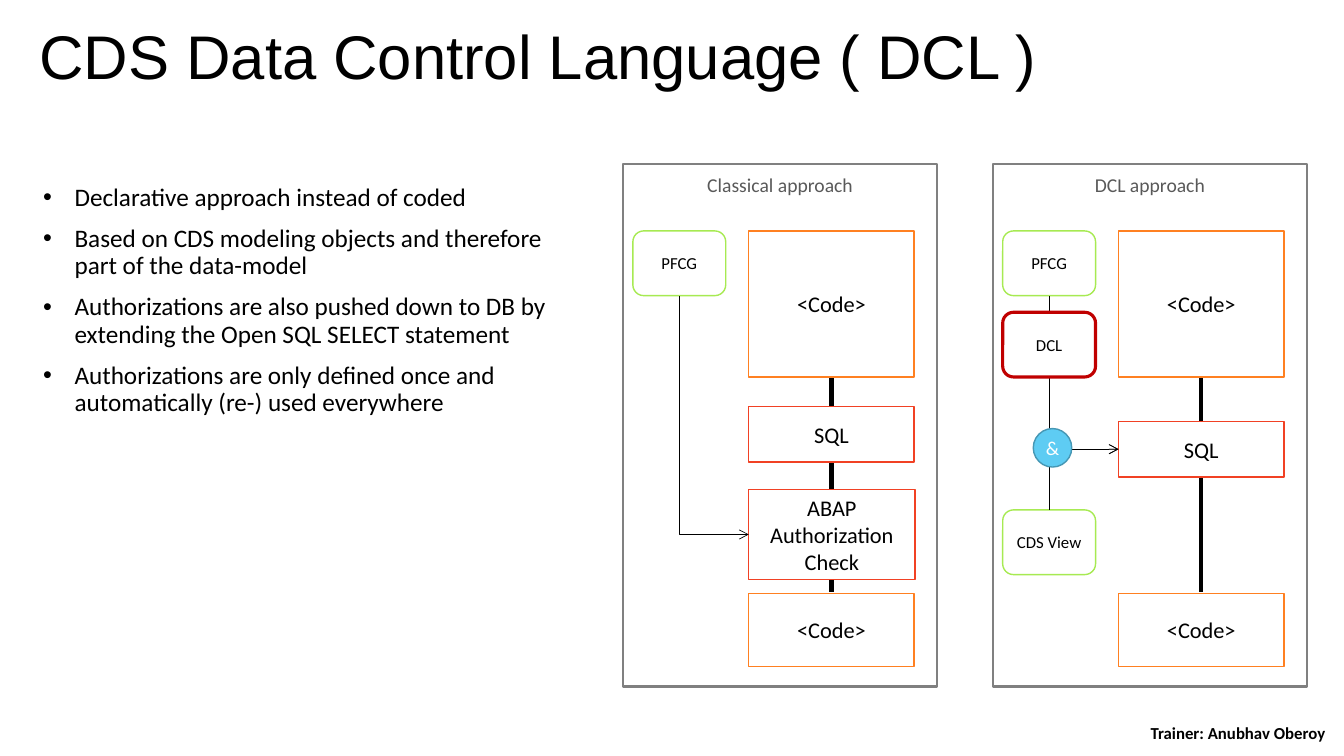
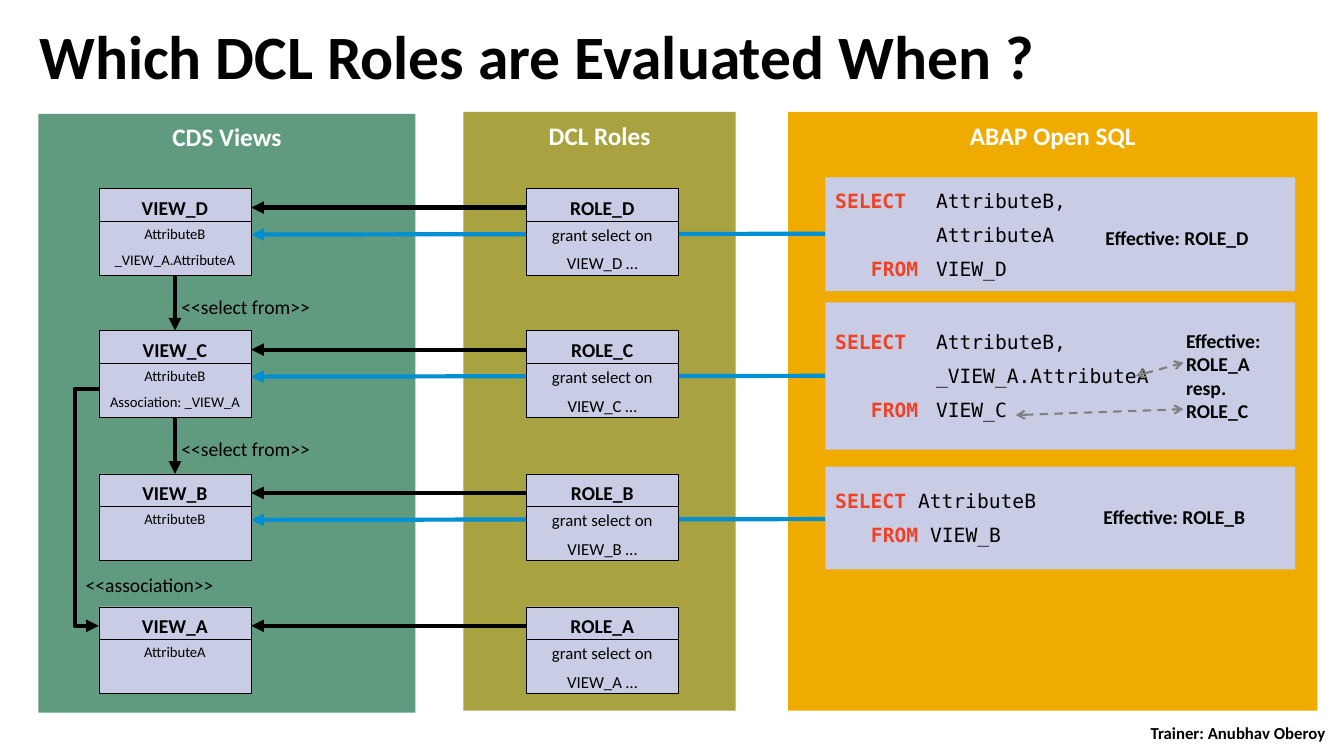
from pptx import Presentation
from pptx.dml.color import RGBColor
from pptx.enum.dml import MSO_LINE
from pptx.enum.shapes import MSO_CONNECTOR, MSO_SHAPE
from pptx.enum.text import MSO_ANCHOR, PP_ALIGN
from pptx.oxml import parse_xml
from pptx.oxml.ns import nsdecls
from pptx.util import Cm, Pt

RECT, ROUNDED, CIRCLE = MSO_SHAPE.RECTANGLE, MSO_SHAPE.ROUNDED_RECTANGLE, MSO_SHAPE.OVAL
STRAIGHT, ELBOW = MSO_CONNECTOR.STRAIGHT, MSO_CONNECTOR.ELBOW
TOP, MIDDLE = MSO_ANCHOR.TOP, MSO_ANCHOR.MIDDLE
LEFT, CENTER = PP_ALIGN.LEFT, PP_ALIGN.CENTER
DASH = MSO_LINE.DASH
LEFT_SITE, BOTTOM_SITE, TOP_SITE = 1, 2, 0

BLACK = RGBColor(0x00, 0x00, 0x00)
WHITE = RGBColor(0xFF, 0xFF, 0xFF)
GRAY = RGBColor(0x80, 0x80, 0x80)
DARK_GRAY = RGBColor(0x59, 0x59, 0x59)
LIME = RGBColor(0xA7, 0xEA, 0x52)
ORANGE = RGBColor(0xFF, 0x80, 0x21)
RED = RGBColor(0xF1, 0x41, 0x24)
DARK_RED = RGBColor(0xC0, 0x00, 0x00)
SKY = RGBColor(0x5E, 0xCC, 0xF3)
SKY_EDGE = RGBColor(0x46, 0x97, 0xB4)
BLUE = RGBColor(0x00, 0x8F, 0xD3)
GREEN = RGBColor(0x60, 0x9A, 0x7F)
OLIVE = RGBColor(0xA8, 0xA3, 0x40)
AMBER = RGBColor(0xF0, 0xAB, 0x00)
LAVENDER = RGBColor(0xC8, 0xCD, 0xE5)


def add_box(page, bounds, lines, size, kind=None, fill=None, edge=None, edge_width=1,
            color=BLACK, bold=False, font="Calibri", align=CENTER, anchor=MIDDLE,
            inset=(0.25, 0.2), before=0, spacing=None):
    lengths = [Cm(value) for value in bounds]
    if kind is None:
        box = page.shapes.add_textbox(*lengths)
    else:
        box = page.shapes.add_shape(kind, *lengths)
        box.shadow.inherit = False
        if fill is None:
            box.fill.background()
        else:
            box.fill.solid()
            box.fill.fore_color.rgb = fill
        if edge is None:
            box.line.fill.background()
        else:
            box.line.color.rgb = edge
            box.line.width = Pt(edge_width)
    frame = box.text_frame
    frame.word_wrap = True
    frame.vertical_anchor = anchor
    frame.margin_left = frame.margin_right = Cm(inset[0])
    frame.margin_top = frame.margin_bottom = Cm(inset[1])
    for index, text in enumerate(lines):
        para = frame.add_paragraph() if index else frame.paragraphs[0]
        para.text = text
        para.alignment = align
        para.space_before = Pt(before)
        if spacing:
            para.line_spacing = spacing
        para.font.name = font
        para.font.size = Pt(size)
        para.font.bold = bold
        para.font.color.rgb = color
    return box


def add_line(page, points, width, color=BLACK, head=None, tail=None, dash=None, elbow=False):
    corners = [(Cm(x), Cm(y)) for x, y in points]
    if len(corners) == 2:
        line = page.shapes.add_connector(ELBOW if elbow else STRAIGHT, *corners[0], *corners[1])
    else:
        builder = page.shapes.build_freeform(*corners[0], scale=1.0)
        builder.add_line_segments(corners[1:], close=False)
        line = builder.convert_to_shape()
        line.fill.background()
    properties = line._element.spPr
    if elbow:
        properties.prstGeom.set("prst", "bentConnector2")
    line.line.color.rgb = color
    line.line.width = Pt(width)
    if dash:
        line.line.dash_style = dash
    for tag, arrow in (("headEnd", head), ("tailEnd", tail)):
        if arrow:
            line.line._get_or_add_ln().append(
                parse_xml(f'<a:{tag} {nsdecls("a")} type="{arrow}"/>'))
    properties.append(parse_xml(f'<a:effectLst {nsdecls("a")}/>'))
    return line


deck = Presentation()
deck.slide_width, deck.slide_height = Cm(33.87), Cm(19.05)
pages = []
for title, font, bold in (("CDS Data Control Language ( DCL )", "Arial", False),
                          ("Which DCL Roles are Evaluated When ?", "Calibri", True)):
    page = deck.slides.add_slide(deck.slide_layouts[6])
    add_box(page, (0.74, 0.53, 31.37, 1.98), [title], 44, font=font, bold=bold,
            align=LEFT, anchor=TOP, inset=(0.25, 0.13), spacing=0.9)
    add_box(page, (28.54, 18.19, 5.32, 0.56), ["Trainer: Anubhav Oberoy"], 12,
            bold=True, inset=(0.25, 0.13))
    pages.append(page)
approach_page, roles_page = pages

page = approach_page
bullets = add_box(page, (0.58, 4.24, 14.17, 12.75), [
    "Declarative approach instead of coded",
    "Based on CDS modeling objects and therefore part of the data-model",
    "Authorizations are also pushed down to DB by extending the Open SQL SELECT statement",
    "Authorizations are only defined once and automatically (re-) used everywhere",
], 18, kind=RECT, fill=WHITE, align=LEFT, anchor=TOP, inset=(0.51, 0.41), before=10, spacing=0.9)
for para in bullets.text_frame.paragraphs:
    layout = para._p.get_or_add_pPr()
    layout.set("marL", str(Cm(0.79)))
    layout.set("indent", str(-Cm(0.79)))
    for mark in ('buFont {} typeface="Arial"', 'buChar {} char="\u2022"'):
        layout.insert_element_before(
            parse_xml(f'<a:{mark.format(nsdecls("a"))}/>'), "a:defRPr")

PANEL_TOP, SMALL_WIDTH, SMALL_HEIGHT, STEP_WIDTH = 4.14, 2.34, 1.63, 4.17
pfcg_boxes, sql_boxes = [], []
for panel_left, heading, sql_top in ((15.7, "Classical approach", 10.24),
                                     (25.02, "DCL approach", 10.62)):
    add_box(page, (panel_left, PANEL_TOP, 7.92, 13.16), [heading], 14, kind=RECT, edge=GRAY,
            edge_width=1.5, color=DARK_GRAY, anchor=TOP, inset=(0.23, 0.23))
    step_left = panel_left + 3.17
    spine = step_left + STEP_WIDTH / 2
    add_line(page, [(spine, 9.5), (spine, 14.92)], 3)
    for top, height in ((5.82, 3.68), (14.96, 1.83)):
        add_box(page, (step_left, top, STEP_WIDTH, height), ["<Code>"], 16,
                kind=RECT, fill=WHITE, edge=ORANGE)
    sql_boxes.append(add_box(page, (step_left, sql_top, STEP_WIDTH, 1.4), ["SQL"], 16,
                             kind=RECT, fill=WHITE, edge=RED))
    pfcg_boxes.append(add_box(page, (panel_left + 0.25, 5.82, SMALL_WIDTH, SMALL_HEIGHT),
                              ["PFCG"], 12, kind=ROUNDED, fill=WHITE, edge=LIME))

check = add_box(page, (18.87, 12.34, 4.19, 2.26), ["ABAP Authorization Check"], 16,
                kind=RECT, fill=WHITE, edge=RED)
cds_view = add_box(page, (25.27, 12.85, SMALL_WIDTH, SMALL_HEIGHT), ["CDS View"], 12,
                   kind=ROUNDED, fill=WHITE, edge=LIME)
for target, start, source, site, end in (
        (check, (18.87, 13.47), pfcg_boxes[0], BOTTOM_SITE, (17.12, 7.45)),
        (sql_boxes[1], (28.19, 11.32), pfcg_boxes[1], BOTTOM_SITE, (26.44, 7.45)),
        (sql_boxes[1], (28.19, 11.32), cds_view, TOP_SITE, (26.44, 12.85))):
    arrow = add_line(page, [start, end], 0.5, head="arrow", elbow=True)
    arrow.begin_connect(target, LEFT_SITE)
    arrow.end_connect(source, site)
add_box(page, (25.27, 7.87, SMALL_WIDTH, SMALL_HEIGHT), ["DCL"], 12,
        kind=ROUNDED, fill=WHITE, edge=DARK_RED, edge_width=2.25)
add_box(page, (26.04, 10.8, 0.97, 0.97), ["&"], 14, kind=CIRCLE, fill=SKY, edge=SKY_EDGE,
        color=WHITE, inset=(0, 0))

page = roles_page
for left, top, width, heading, fill in ((19.86, 2.82, 13.34, "ABAP Open SQL", AMBER),
                                        (11.68, 2.82, 6.86, "DCL Roles", OLIVE),
                                        (0.97, 2.87, 9.5, "CDS Views", GREEN)):
    add_box(page, (left, top, width, 15.09), [heading], 18, kind=RECT, fill=fill,
            color=WHITE, bold=True, anchor=TOP)

VIEW_LEFT, ROLE_LEFT, SQL_LEFT = 2.49, 13.26, 20.8
CARD_WIDTH, CARD_HEIGHT = 3.84, 2.18
VIEW_RIGHT, VIEW_CENTER = VIEW_LEFT + CARD_WIDTH, VIEW_LEFT + CARD_WIDTH / 2
rows = (("D", 4.75, ["AttributeB", "_VIEW_A.AttributeA"]),
        ("C", 8.33, ["AttributeB", "Association: _VIEW_A"]),
        ("B", 11.94, ["AttributeB"]),
        ("A", 15.29, ["AttributeA"]))
for letter, top, attributes in rows:
    if letter != "A":
        add_line(page, [(SQL_LEFT, top + 1.14), (VIEW_RIGHT, top + 1.16)], 3, BLUE,
                 tail="triangle")
    grant = ["grant select on", f"VIEW_{letter} \u2026"]
    for left, name, details, size in ((VIEW_LEFT, "VIEW", attributes, 10.5),
                                      (ROLE_LEFT, "ROLE", grant, 12)):
        add_box(page, (left, top, CARD_WIDTH, CARD_HEIGHT), [], 14, kind=RECT,
                fill=LAVENDER, edge=BLACK, edge_width=0.25)
        add_line(page, [(left, top + 0.82), (left + CARD_WIDTH, top + 0.82)], 0.5)
        add_box(page, (left, top + 0.18, CARD_WIDTH, 0.6), [f"{name}_{letter}"], 14,
                bold=True, anchor=TOP, inset=(0, 0))
        add_box(page, (left, top + 0.91, CARD_WIDTH, 1.24), details, size,
                anchor=TOP, inset=(0, 0), before=6)
    add_line(page, [(ROLE_LEFT, top + 0.48), (VIEW_RIGHT, top + 0.48)], 3, tail="triangle")

for (_, top, _), (_, next_top, _) in zip(rows[:2], rows[1:3]):
    add_line(page, [(VIEW_CENTER, top + CARD_HEIGHT), (VIEW_CENTER, next_top)], 3,
             tail="triangle")
add_line(page, [(VIEW_LEFT, 9.8), (1.9, 9.8), (1.9, 15.77), (VIEW_LEFT, 15.77)], 3,
         tail="triangle")
for left, top, label in ((4.57, 7.44, "<<select from>>"),
                         (4.57, 11.02, "<<select from>>"),
                         (2.16, 14.43, "<<association>>")):
    add_box(page, (left, top, 4.45, 0.6), [label], 14, align=LEFT, anchor=TOP, inset=(0, 0))

queries = (
    (4.47, 2.87, (("SELECT", "\tAttributeB,"), ("\t\t", "AttributeA"), ("\tFROM", "\tVIEW_D"))),
    (7.62, 3.71, (("SELECT", "\tAttributeB,"), ("\t\t", "_VIEW_A.AttributeA"),
                  ("\tFROM", "\tVIEW_C"))),
    (11.76, 2.59, (("SELECT", " AttributeB"), ("\tFROM", " VIEW_B"))),
)
for top, height, statement in queries:
    query = add_box(page, (SQL_LEFT, top, 11.84, height), [head for head, _ in statement], 14,
                    kind=RECT, fill=LAVENDER, font="DejaVu Sans Mono", align=LEFT, before=7.5)
    for para, (_, rest) in zip(query.text_frame.paragraphs, statement):
        keyword = para.runs[0]
        keyword.font.bold = True
        keyword.font.color.rgb = RED
        span = para.add_run()
        span.text = rest
        para._p.get_or_add_pPr().insert_element_before(parse_xml(
            f'<a:tabLst {nsdecls("a")}><a:tab pos="{Cm(0.9)}" algn="l"/>'
            f'<a:tab pos="{Cm(2.54)}" algn="l"/></a:tabLst>'), "a:defRPr")

for left, top, width, height, note in ((27.61, 5.56, 5.05, 0.86, "Effective: ROLE_D"),
                                       (29.64, 8.15, 2.79, 2.64, "Effective: ROLE_A resp. ROLE_C"),
                                       (27.56, 12.6, 4.9, 0.86, "Effective: ROLE_B")):
    add_box(page, (left, top, width, height), [note], 14, bold=True, align=LEFT,
            anchor=TOP, inset=(0.25, 0.13))
for points in ([(25.6, 10.46), (29.82, 10.31)], [(28.63, 9.47), (29.82, 9.14)]):
    add_line(page, points, 1.5, GRAY, head="arrow", tail="arrow", dash=DASH)

deck.save("out.pptx")
